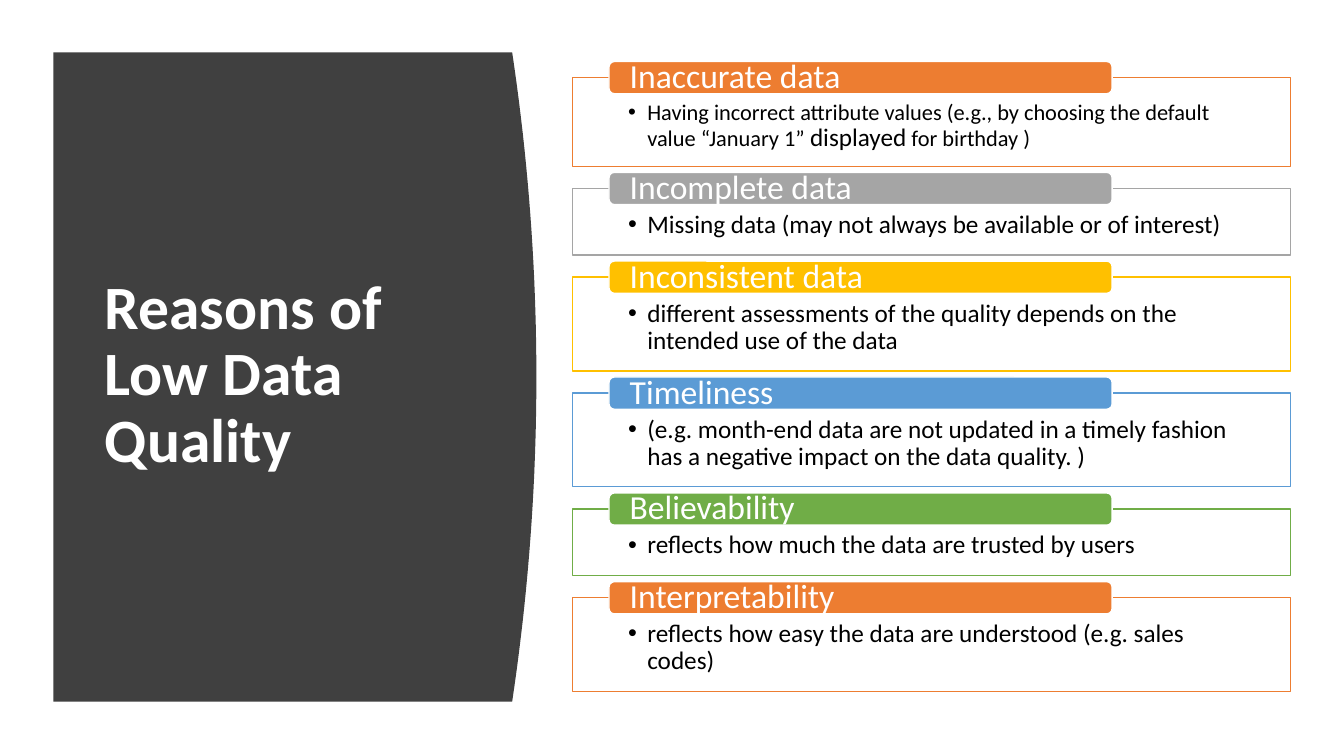
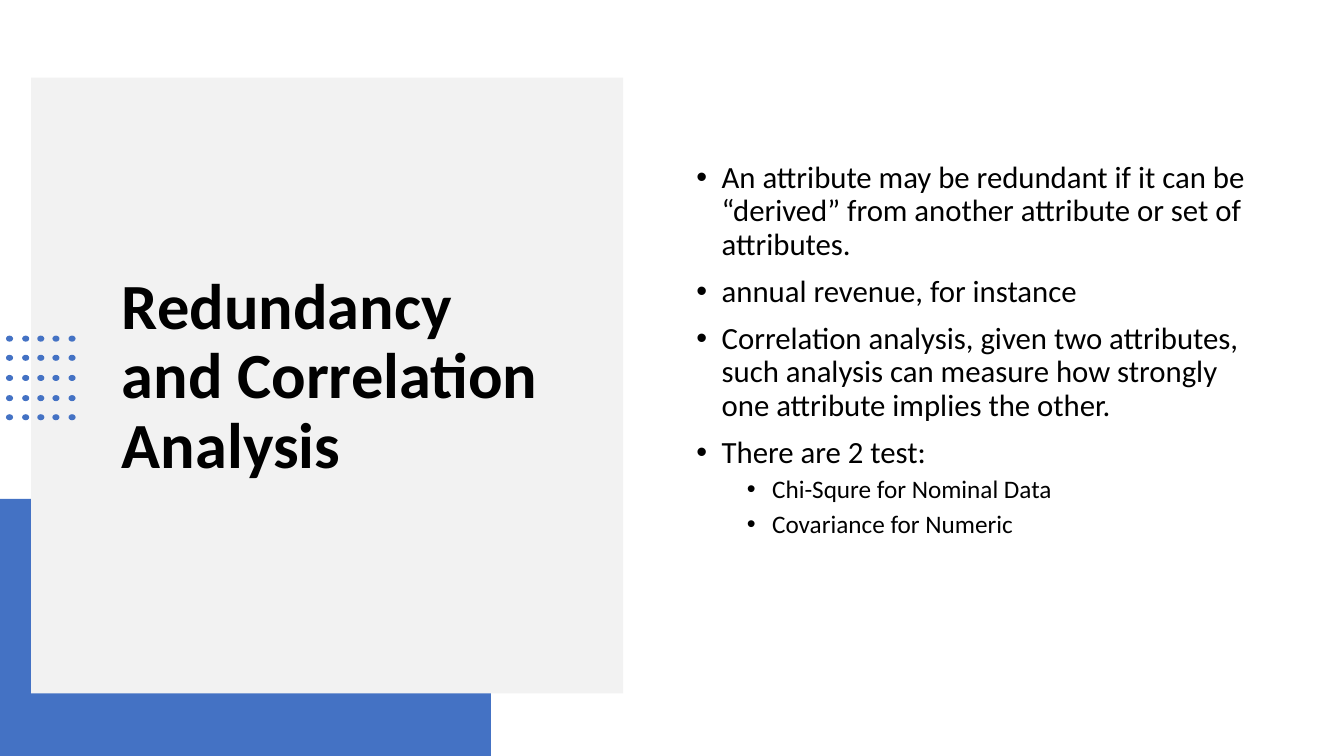
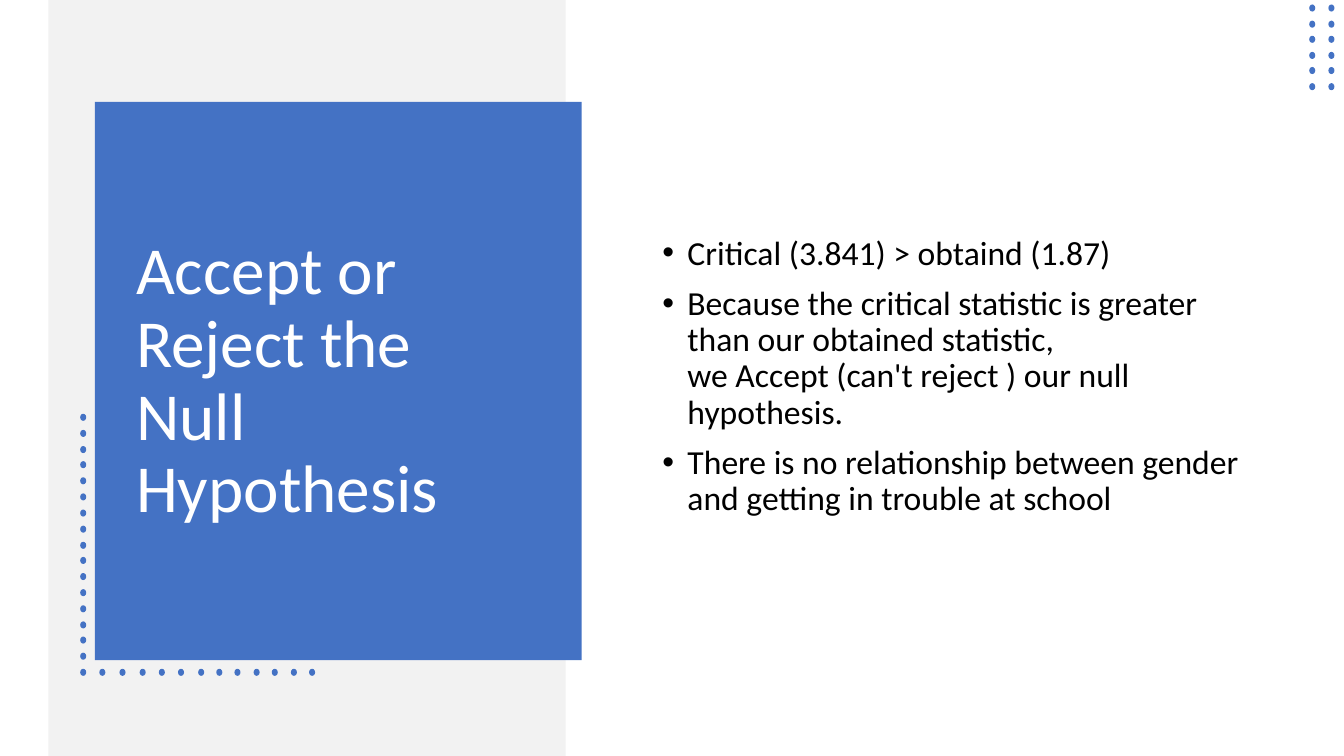
"""Builds three slides on data quality and correlation tests."""
from dataclasses import dataclass

from lxml.etree import SubElement as Sub
from pptx import Presentation
from pptx.dml.color import RGBColor as RGB
from pptx.enum.shapes import MSO_SHAPE as Kind
from pptx.enum.text import MSO_ANCHOR as Anchor, MSO_AUTO_SIZE as Fit, PP_ALIGN as Align
from pptx.oxml.ns import qn
from pptx.util import Pt

SCALE = 9144
TITLE_ONLY = 5


@dataclass(frozen=True)
class Theme:
    font: str = "Calibri"
    white: str = "FFFFFF"
    black: str = "000000"
    dark: str = "404040"
    pale: str = "F2F2F2"
    blue: str = "4472C4"
    orange: str = "ED7D31"
    gray: str = "A5A5A5"
    gold: str = "FFC000"
    sky: str = "5B9BD5"
    green: str = "70AD47"
    tab: int = 24
    note: int = 18
    small: int = 16


def emu(*px):
    return [int(n * SCALE) for n in px]


def spread(first, last, count):
    return [round(first + (last - first) * i / (count - 1)) for i in range(count)]


def write(frame, text, font=Theme.font, size=18, color=Theme.black, bold=False,
          anchor=Anchor.MIDDLE, inset=(10, 5, 10, 5), bullet=None, before=0, level=0):
    frame.word_wrap, frame.auto_size, frame.vertical_anchor = True, Fit.NONE, anchor
    (frame.margin_left, frame.margin_top,
     frame.margin_right, frame.margin_bottom) = emu(*inset)
    para = frame.paragraphs[0]
    if para.runs:
        para = frame.add_paragraph()
    para.alignment, para.line_spacing, para.level = Align.LEFT, 0.9, level
    para.space_before = Pt(before)
    for part, points in [(text, size)] if isinstance(text, str) else text:
        for i, line in enumerate(part.split("\n")):
            if i:
                para.add_line_break()
            run = para.add_run()
            run.text = line
            run.font.name, run.font.size, run.font.bold = font, Pt(points), bold
            run.font.color.rgb = RGB.from_string(color)
    if bullet:
        left, hang = emu(*bullet)
        props = para._p.get_or_add_pPr()
        props.set("marL", str(left))
        props.set("indent", str(-hang))
        Sub(props, qn("a:buFont"), typeface="Arial")
        Sub(props, qn("a:buChar"), char="•")


class Deck:
    def __init__(self, theme):
        self.theme = theme
        self.show = Presentation()
        self.show.slide_width, self.show.slide_height = emu(1333, 750)

    def start(self):
        layout = self.show.slide_layouts[TITLE_ONLY]
        self.slide = self.show.slides.add_slide(layout)
        self.shapes = self.slide.shapes

    def title(self, text, area, **style):
        head = self.shapes.title
        head.left, head.top, head.width, head.height = emu(*area)
        self.shapes._spTree.append(head._element)
        write(head.text_frame, text, **style)

    def paint(self, shape, fill, line=None):
        shape.shadow.inherit = False
        shape.fill.solid()
        shape.fill.fore_color.rgb = RGB.from_string(fill)
        if line:
            shape.line.color.rgb = RGB.from_string(line)
            shape.line.width = Pt(1)
        else:
            shape.line.fill.background()
        return shape

    def box(self, area, fill, line=None, kind=Kind.RECTANGLE, home=None):
        shape = (home or self.shapes).add_shape(kind, *emu(*area))
        return self.paint(shape, fill, line)

    def panel(self, left, top, right, bottom, bulge, steps=40):
        edge = []
        for i in range(steps + 1):
            t = 2 * i / steps - 1
            edge.append(emu(right + bulge * (1 - t * t), top + (bottom - top) * i / steps))
        pen = self.shapes.build_freeform(*emu(left, top), scale=1.0)
        pen.add_line_segments(edge + [emu(left, bottom)], close=True)
        self.paint(pen.convert_to_shape(), self.theme.dark)

    def dots(self, spots, turn=0):
        group = self.shapes.add_group_shape()
        for x, y in spots:
            dot = self.box((x, y, 7, 6), self.theme.blue, kind=Kind.OVAL, home=group.shapes)
            dot.rotation = turn

    def card(self, top, height, color, name, note):
        look = self.theme
        card = self.box((568, top, 712, height), look.white, color)
        write(card.text_frame, note, size=look.note, anchor=Anchor.TOP,
              inset=(55, 23, 55, 12), bullet=(19, 19))
        tab = self.box((604, top - 16, 499, 32), color, look.white, Kind.ROUNDED_RECTANGLE)
        write(tab.text_frame, name, size=look.tab, color=look.white, inset=(19, 0, 19, 0))

    def points(self, area, size, items, subs=()):
        frame = self.shapes.add_textbox(*emu(*area)).text_frame
        for item in items:
            write(frame, item, size=size, bullet=(25, 25), before=10)
        for item in subs:
            write(frame, item, size=self.theme.note, bullet=(75, 25), before=5, level=1)


def reasons(deck):
    look = deck.theme
    deck.start()
    deck.panel(53, 52, 508, 696, 24)
    deck.title("Reasons of Low Data Quality", (94, 111, 374, 524),
               size=44, color=look.white, bold=True)
    cards = [
        (88, look.orange, "Inaccurate data",
         [("Having incorrect attribute values (e.g., by choosing the default value “January 1” ",
           look.small), ("displayed", look.note), (" for birthday )", look.small)]),
        (66, look.gray, "Incomplete data",
         "Missing data (may not always be available or of interest)"),
        (93, look.gold, "Inconsistent data",
         "different assessments of the quality depends on the intended use of the data"),
        (93, look.sky, "Timeliness",
         "(e.g. month-end data are not updated in a timely fashion has a negative impact "
         "on the data quality. )"),
        (66, look.green, "Believability", "reflects how much the data are trusted by users"),
        (93, look.orange, "Interpretability",
         "reflects how easy the data are understood (e.g. sales codes)"),
    ]
    top = 77
    for height, color, name, note in cards:
        deck.card(top, height, color, name, note)
        top += height + 22


def redundant(deck):
    look = deck.theme
    deck.start()
    deck.box((0, 495, 487, 255), look.blue)
    deck.box((31, 77, 587, 611), look.pale)
    deck.title("Redundancy and Correlation Analysis", (111, 147, 459, 456), size=46, bold=True)
    deck.dots([(x, y) for x in spread(6, 68, 5) for y in spread(333, 411, 5)])
    deck.points((681, 82, 587, 531), 22, [
        "An attribute may be redundant if it can be “derived” from another attribute "
        "or set of attributes.",
        "annual revenue, for instance",
        "Correlation analysis, given two attributes, such analysis can measure how strongly "
        "one attribute implies the other.",
        "There are 2 test:",
    ], ["Chi-Squre for Nominal Data", "Covariance for Numeric"])


def verdict(deck):
    look = deck.theme
    deck.start()
    deck.box((48, 0, 513, 750), look.pale)
    deck.box((94, 101, 483, 554), look.blue)
    side = [(79, y) for y in spread(411, 664, 17)]
    base = [(x, 664) for x in spread(79, 196, 7)[1:] + spread(214, 306, 6)]
    deck.dots(side + base, turn=90)
    deck.title("Accept or Reject the Null Hypothesis", (125, 145, 414, 468),
               size=48, color=look.white)
    deck.dots([(x, y) for x in (1298, 1317) for y in spread(5, 83, 6)], turn=90)
    deck.points((647, 130, 608, 488), 24, [
        "Critical (3.841) > obtaind (1.87)",
        "Because the critical statistic is greater than our obtained statistic,\n"
        "we Accept (can't reject ) our null hypothesis.",
        "There is no relationship between gender and getting in trouble at school",
    ])


def main():
    deck = Deck(Theme())
    for build in (reasons, redundant, verdict):
        build(deck)
    deck.show.save("out.pptx")


if __name__ == "__main__":
    main()
